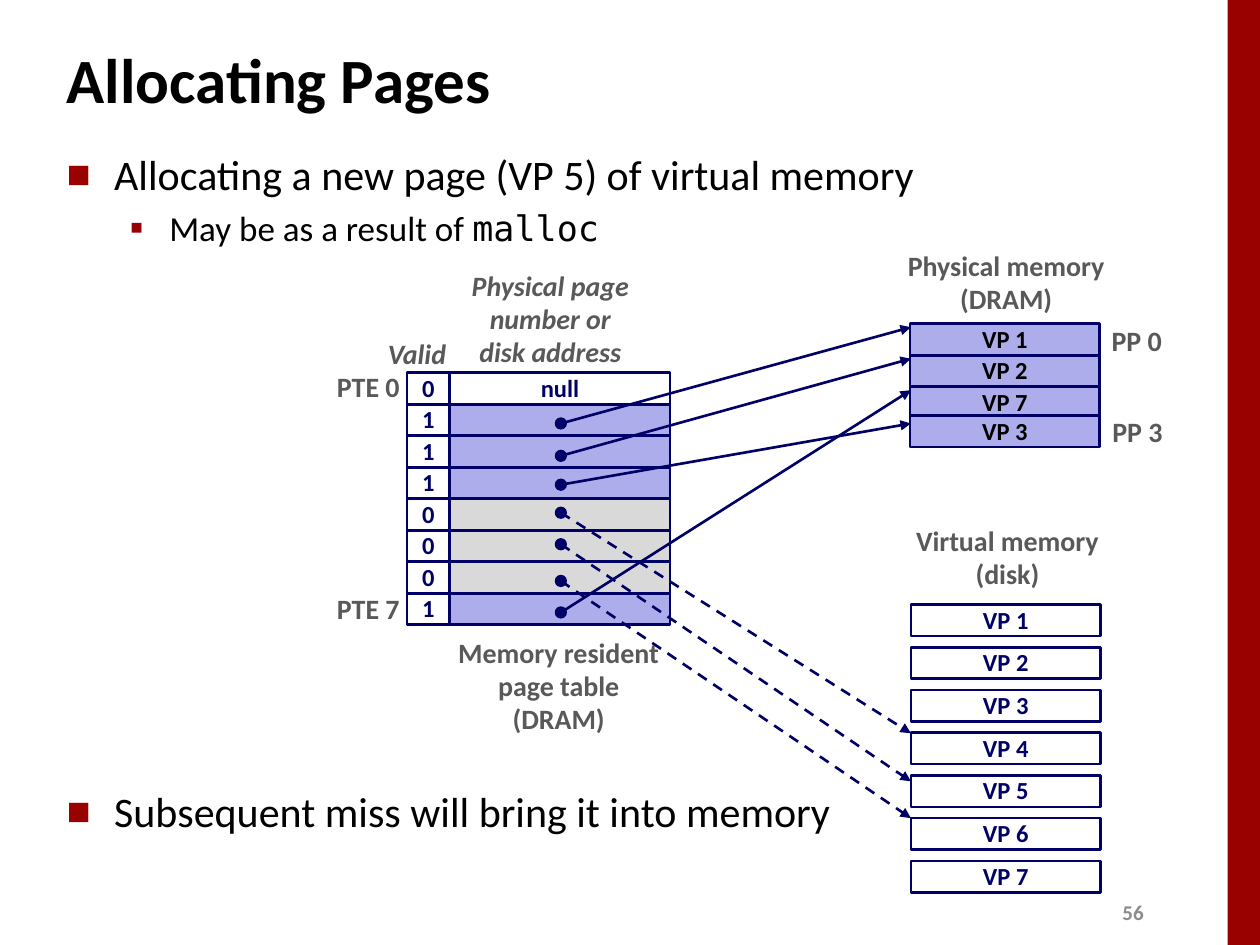
"""Build the slide on allocating a page of virtual memory."""
from lxml import etree
from pptx import Presentation
from pptx import util as u
from pptx.dml.color import RGBColor
from pptx.enum import dml, shapes, text
from pptx.oxml import ns

COLORS = {"ink": "000000", "navy": "000066", "gray": "595959", "pale": "8C8C8C",
          "red": "990000", "cached": "ADADEB", "uncached": "D9D9D9", "white": "FFFFFF"}
SANS, MONO = "Calibri", "DejaVu Sans Mono"
CENTER, LEFT, RIGHT = text.PP_ALIGN.CENTER, text.PP_ALIGN.LEFT, text.PP_ALIGN.RIGHT

TITLE = "Allocating Pages"
# level, runs, space before
BULLETS = [
    (0, [("Allocating a new page (VP 5) of virtual memory", SANS)], 0),
    (1, [("May be as a result of ", SANS), ("malloc", MONO)], 4),
    (0, [("Subsequent miss will bring it into memory", SANS)], 307),
]
LEVELS = [
    {"size": 24, "margin": 27, "indent": -27, "char": "■", "percent": 60},
    {"size": 20, "margin": 58.5, "indent": -22.5, "char": "▪", "percent": 110},
]
ENTRIES = [("0", "null", "white"), ("1", "", "cached"), ("1", "", "cached"),
           ("1", "", "cached"), ("0", "", "uncached"), ("0", "", "uncached"),
           ("0", "", "uncached"), ("1", "", "cached")]
POINTERS = [(242, 187), (260.5, 205), (277, 242), (293, 419),
            (311, 446.5), (332, 467.5), (350, 223)]
PHYSICAL = [("VP 1", 185), ("VP 2", 203), ("VP 7", 221), ("VP 3", 237.5)]
DISK = [f"VP {number}" for number in range(1, 8)]
LABELS = [
    (["Memory resident", "page table", "(DRAM)"], (252.5, 360.5, 133.5, 64), CENTER, False),
    (["Physical memory", "(DRAM)"], (511, 139, 128, 45.5), CENTER, False),
    (["Virtual memory", "(disk)"], (515, 296, 121.5, 45.5), CENTER, False),
    (["Physical page", "number or", "disk address"], (262, 150.5, 105, 64), CENTER, True),
    (["Valid"], (214.5, 189.5, 54, 26.5), LEFT, True),
    (["PTE 0"], (185, 208, 50.5, 26.5), RIGHT, False),
    (["PTE 7"], (185, 335, 50.5, 26.5), RIGHT, False),
    (["PP 0"], (628, 182, 43, 26.5), CENTER, False),
    (["PP 3"], (628.5, 234, 43, 26.5), CENTER, False),
]
ROW_HEIGHT, TABLE_TOP = 18, 213
VALID_LEFT, VALID_WIDTH, ADDRESS_LEFT, ADDRESS_WIDTH = 232.5, 24.5, 257, 126
PAGE_LEFT, PAGE_WIDTH, DISK_TOP, DISK_PITCH = 520, 108.5, 345.5, 24.4
DOT_X, DOT_SIZE = 320.5, 6


def rgb(name):
    return RGBColor.from_string(COLORS[name])


def apply(target, values):
    for key, value in values.items():
        setattr(target, key, value)


def format_font(font, size, color, name=SANS, **values):
    apply(font, {"size": u.Pt(size), "name": name, **values})
    font.color.rgb = rgb(color)


def place(box):
    return [u.Pt(length) for length in box]


def write(frame, lines, size, color, align=CENTER, **values):
    apply(frame, {"word_wrap": False, "vertical_anchor": text.MSO_ANCHOR.MIDDLE})
    for index, line in enumerate(lines):
        paragraph = frame.add_paragraph() if index else frame.paragraphs[0]
        apply(paragraph, {"text": line, "alignment": align, "line_spacing": 0.98})
        format_font(paragraph.font, size, color, bold=True, **values)


def add_block(slide, box, fill, line=None, line_width=1.5, kind="RECTANGLE"):
    block = slide.shapes.add_shape(getattr(shapes.MSO_SHAPE, kind), *place(box))
    block.shadow.inherit = False
    block.fill.solid()
    block.fill.fore_color.rgb = rgb(fill)
    if line:
        block.line.color.rgb = rgb(line)
        block.line.width = u.Pt(line_width)
    else:
        block.line.fill.background()
    return block


def add_cell(slide, box, fill, words="", color="navy"):
    cell = add_block(slide, box, fill, "navy")
    if words:
        write(cell.text_frame, [words], 14, color)


def add_label(slide, lines, box, size=16, color="gray", align=CENTER, italic=False):
    label = slide.shapes.add_textbox(*place(box))
    write(label.text_frame, lines, size, color, align, italic=italic)


def add_pointer(slide, start, end, dashed):
    pointer = slide.shapes.add_connector(
        shapes.MSO_CONNECTOR.STRAIGHT, *place((DOT_X, start, PAGE_LEFT + 0.5, end)))
    pointer.line.color.rgb = rgb("navy")
    pointer.line.width = u.Pt(1.5)
    if dashed:
        pointer.line.dash_style = dml.MSO_LINE.DASH
    properties = pointer.element.spPr
    outline = properties.find(ns.qn("a:ln"))
    etree.SubElement(outline, ns.qn("a:tailEnd"), type="triangle")
    etree.SubElement(properties, ns.qn("a:effectLst"))


def add_bullet(paragraph, level):
    properties = paragraph._p.get_or_add_pPr()
    properties.set("marL", str(u.Pt(level["margin"])))
    properties.set("indent", str(u.Pt(level["indent"])))
    color = etree.SubElement(properties, ns.qn("a:buClr"))
    etree.SubElement(color, ns.qn("a:srgbClr"), val=COLORS["red"])
    etree.SubElement(properties, ns.qn("a:buSzPct"), val=str(level["percent"] * 1000))
    etree.SubElement(properties, ns.qn("a:buFont"), typeface=SANS)
    etree.SubElement(properties, ns.qn("a:buChar"), char=level["char"])


def fill_placeholders(slide):
    title, body = slide.shapes.title, slide.placeholders[1]
    for holder, box, anchor in ((title, (31, 15, 597.5, 60), "MIDDLE"),
                                (body, (31, 81.5, 622, 421), "TOP")):
        apply(holder, dict(zip(("left", "top", "width", "height"), place(box))))
        apply(holder.text_frame, {"word_wrap": True, "auto_size": text.MSO_AUTO_SIZE.NONE,
                                  "vertical_anchor": getattr(text.MSO_ANCHOR, anchor)})
    heading = title.text_frame.paragraphs[0]
    apply(heading, {"text": TITLE, "alignment": LEFT})
    format_font(heading.font, 36, "ink", bold=True)
    for index, (depth, runs, gap) in enumerate(BULLETS):
        frame = body.text_frame
        paragraph = frame.add_paragraph() if index else frame.paragraphs[0]
        add_bullet(paragraph, LEVELS[depth])
        apply(paragraph, {"level": depth, "space_before": u.Pt(gap)})
        for words, name in runs:
            run = paragraph.add_run()
            run.text = words
            format_font(run.font, LEVELS[depth]["size"], "ink", name)


def main():
    deck = Presentation()
    apply(deck, {"slide_width": u.Pt(720), "slide_height": u.Pt(540)})
    slide = deck.slides.add_slide(deck.slide_layouts[1])
    fill_placeholders(slide)
    add_block(slide, (701.5, 0, 18.5, 540), "red")
    add_label(slide, ["56"], (633, 511, 29, 21.5), 12, "pale")
    for row, (valid, address, fill) in enumerate(ENTRIES):
        top = TABLE_TOP + row * ROW_HEIGHT
        add_cell(slide, (VALID_LEFT, top, VALID_WIDTH, ROW_HEIGHT), "white", valid)
        add_cell(slide, (ADDRESS_LEFT, top, ADDRESS_WIDTH, ROW_HEIGHT), fill, address)
    for page, top in PHYSICAL:
        add_cell(slide, (PAGE_LEFT, top, PAGE_WIDTH, ROW_HEIGHT), "cached", page, "ink")
    for index, page in enumerate(DISK):
        top = DISK_TOP + index * DISK_PITCH
        add_cell(slide, (PAGE_LEFT + 0.5, top, PAGE_WIDTH, ROW_HEIGHT), "white", page)
    for lines, box, align, italic in LABELS:
        add_label(slide, lines, box, align=align, italic=italic)
    for (start, end), (valid, _, _) in zip(POINTERS, ENTRIES[1:]):
        add_pointer(slide, start, end, dashed=valid == "0")
        dot = (DOT_X - DOT_SIZE / 2, start - DOT_SIZE / 2, DOT_SIZE, DOT_SIZE)
        add_block(slide, dot, "navy", "navy", 1, "OVAL")
    deck.save("out.pptx")


if __name__ == "__main__":
    main()
